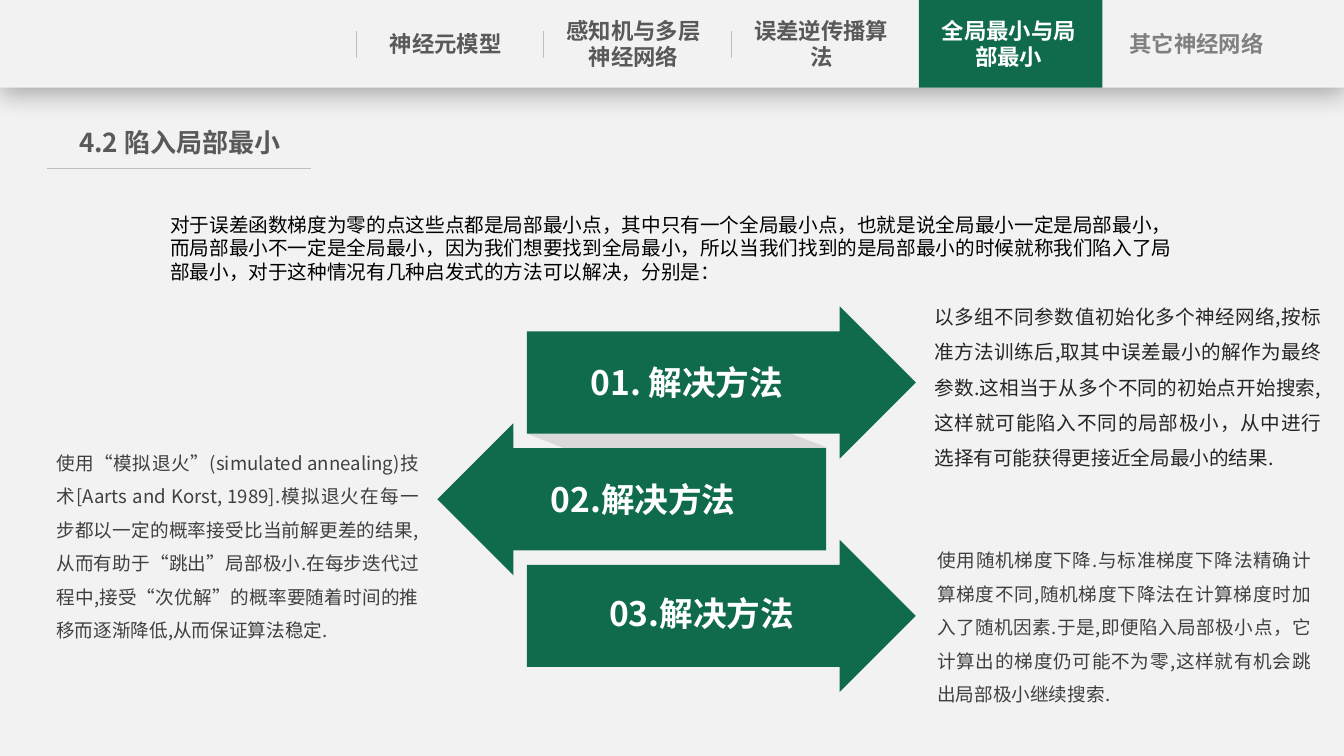
from lxml import etree
from pptx import Presentation
from pptx.dml.color import RGBColor
from pptx.enum.shapes import MSO_CONNECTOR, MSO_SHAPE
from pptx.enum.text import MSO_AUTO_SIZE, PP_ALIGN
from pptx.oxml.ns import qn
from pptx.util import Cm, Pt

RECT, ARROW = MSO_SHAPE.RECTANGLE, MSO_SHAPE.RIGHT_ARROW
PARALLELOGRAM = MSO_SHAPE.PARALLELOGRAM
STRAIGHT = MSO_CONNECTOR.STRAIGHT
LEFT, CENTER, JUSTIFY = PP_ALIGN.LEFT, PP_ALIGN.CENTER, PP_ALIGN.JUSTIFY
NO_AUTOSIZE = MSO_AUTO_SIZE.NONE

FONT = "Noto Sans CJK SC"
GREEN, PALE, WHITE = "106B4C", "F2F2F2", "FFFFFF"
GRAY, RULE = "595959", "BFBFBF"
SLIDE_W, SLIDE_H, BAND_H = 33.87, 19.05, 2.21
TAB_STEP = 4.73
ARROW_W, ARROW_H, ARROW_STEP = 9.8, 3.84, 2.94

TABS = [
    ("神经元模型", GRAY),
    ("感知机与多层神经网络", GRAY),
    ("误差逆传播算法", GRAY),
    ("全局最小与局部最小", WHITE),
    ("其它神经网络", "808080"),
]
INTRO = (
    "对于误差函数梯度为零的点这些点都是局部最小点，其中只有一个全局最小点，"
    "也就是说全局最小一定是局部最小，而局部最小不一定是全局最小，"
    "因为我们想要找到全局最小，所以当我们找到的是局部最小的时候就称我们陷入了局部最小，"
    "对于这种情况有几种启发式的方法可以解决，分别是："
)
# arrow left, rotation, label, label box
METHODS = [
    (13.28, 0, "01. 解决方法", (13.82, 9.12, 6.98, 1.02)),
    (11.02, 180, "02.解决方法", (12.75, 12.07, 6.91, 1.02)),
    (13.28, 0, "03.解决方法", (13.82, 14.94, 7.72, 1.02)),
]
# box, size, colour, text
DETAILS = [
    ((23.55, 7.39, 9.75, 4.5), 14, "262626",
     "以多组不同参数值初始化多个神经网络,按标准方法训练后,取其中误差最小的解作为最终参数."
     "这相当于从多个不同的初始点开始搜索,这样就可能陷入不同的局部极小，"
     "从中进行选择有可能获得更接近全局最小的结果."),
    ((1.42, 11.1, 9.14, 5.13), 13.3, "404040",
     "使用“模拟退火”(simulated annealing)技术[Aarts and Korst, 1989]."
     "模拟退火在每一步都以一定的概率接受比当前解更差的结果,从而有助于“跳出”局部极小."
     "在每步迭代过程中,接受“次优解”的概率要随着时间的推移而逐渐降低,从而保证算法稳定."),
    ((23.62, 13.56, 9.42, 4.29), 13.3, "404040",
     "使用随机梯度下降.与标准梯度下降法精确计算梯度不同,随机梯度下降法在计算梯度时加入了随机因素."
     "于是,即便陷入局部极小点，它计算出的梯度仍可能不为零,这样就有机会跳出局部极小继续搜索."),
]


def rgb(color):
    return RGBColor.from_string(color)


def add_block(s, kind, box, color, rotation=0, adjustments=()):
    sp = s.shapes.add_shape(kind, *map(Cm, box))
    sp.shadow.inherit = False
    sp.fill.solid()
    sp.fill.fore_color.rgb = rgb(color)
    sp.line.fill.background()
    sp.rotation = rotation
    for i, value in enumerate(adjustments):
        sp.adjustments[i] = value
    return sp


def add_drop_shadow(sp):
    """Give the shape a soft black shadow that falls straight down."""
    effects = sp._element.spPr.find(qn("a:effectLst"))
    shadow = etree.SubElement(effects, qn("a:outerShdw"), blurRad=str(Pt(18)),
                              dist=str(Pt(4)), dir="5400000", algn="t",
                              rotWithShape="0")
    color = etree.SubElement(shadow, qn("a:srgbClr"), val="000000")
    etree.SubElement(color, qn("a:alpha"), val="29000")


def add_rule(s, x1, y1, x2, y2):
    line = s.shapes.add_connector(STRAIGHT, Cm(x1), Cm(y1), Cm(x2), Cm(y2))
    line.line.color.rgb = rgb(RULE)
    line.line.width = Pt(0.5)
    etree.SubElement(line._element.spPr, qn("a:effectLst"))


def add_text(s, box, text, size, color, bold=False, align=CENTER,
             spacing=None, inset_x=0, inset_y=0):
    tf = s.shapes.add_textbox(*map(Cm, box)).text_frame
    tf.word_wrap = True
    tf.auto_size = NO_AUTOSIZE
    tf.margin_left = tf.margin_right = Cm(inset_x)
    tf.margin_top = tf.margin_bottom = Cm(inset_y)
    tf.text = text
    p = tf.paragraphs[0]
    p.alignment = align
    p.line_spacing = spacing
    font = p.runs[0].font
    font.size = Pt(size)
    font.bold = bold
    font.color.rgb = rgb(color)
    font.name = FONT
    etree.SubElement(font._element, qn("a:ea"), typeface=FONT)


def add_navigation(s):
    add_drop_shadow(add_block(s, RECT, (0, 0, SLIDE_W, BAND_H), PALE))
    add_block(s, RECT, (23.16, 0, 4.62, BAND_H), GREEN)
    for i in range(3):
        x = 8.97 + i * TAB_STEP
        add_rule(s, x, 0.79, x, 1.47)
    for i, (label, color) in enumerate(TABS):
        height = 1.63 if len(label) > 6 else 0.97
        box = (9.37 + i * TAB_STEP, (BAND_H - height) / 2, 3.73, height)
        add_text(s, box, label, 16, color, bold=True, inset_y=0.13)


def add_heading(s):
    add_rule(s, 1.19, 4.24, 7.85, 4.24)
    add_text(s, (1.9, 3.07, 5.26, 1.07), "4.2 陷入局部最小", 18.6, GRAY,
             bold=True, inset_y=0.13)


def add_methods(s):
    add_block(s, PARALLELOGRAM, (14.3, 7.34, 5.51, 7.52), "D9D9D9", 270, [0.53])
    for i, (left, rotation, label, label_box) in enumerate(METHODS):
        box = (left, 7.72 + i * ARROW_STEP, ARROW_W, ARROW_H)
        add_block(s, ARROW, box, GREEN, rotation, [0.67, 0.5])
        add_text(s, label_box, label, 24, WHITE, bold=True)
    for box, size, color, text in DETAILS:
        add_text(s, box, text, size, color, align=JUSTIFY, spacing=1.5)


def main():
    prs = Presentation()
    prs.slide_width, prs.slide_height = Cm(SLIDE_W), Cm(SLIDE_H)
    s = prs.slides.add_slide(prs.slide_layouts[6])
    s.background.fill.solid()
    s.background.fill.fore_color.rgb = rgb(PALE)
    add_navigation(s)
    add_heading(s)
    add_methods(s)
    add_text(s, (4.04, 5.23, 25.78, 2.06), INTRO, 14, "000000", align=LEFT,
             inset_x=0.25, inset_y=0.13)
    prs.save("out.pptx")


if __name__ == "__main__":
    main()
